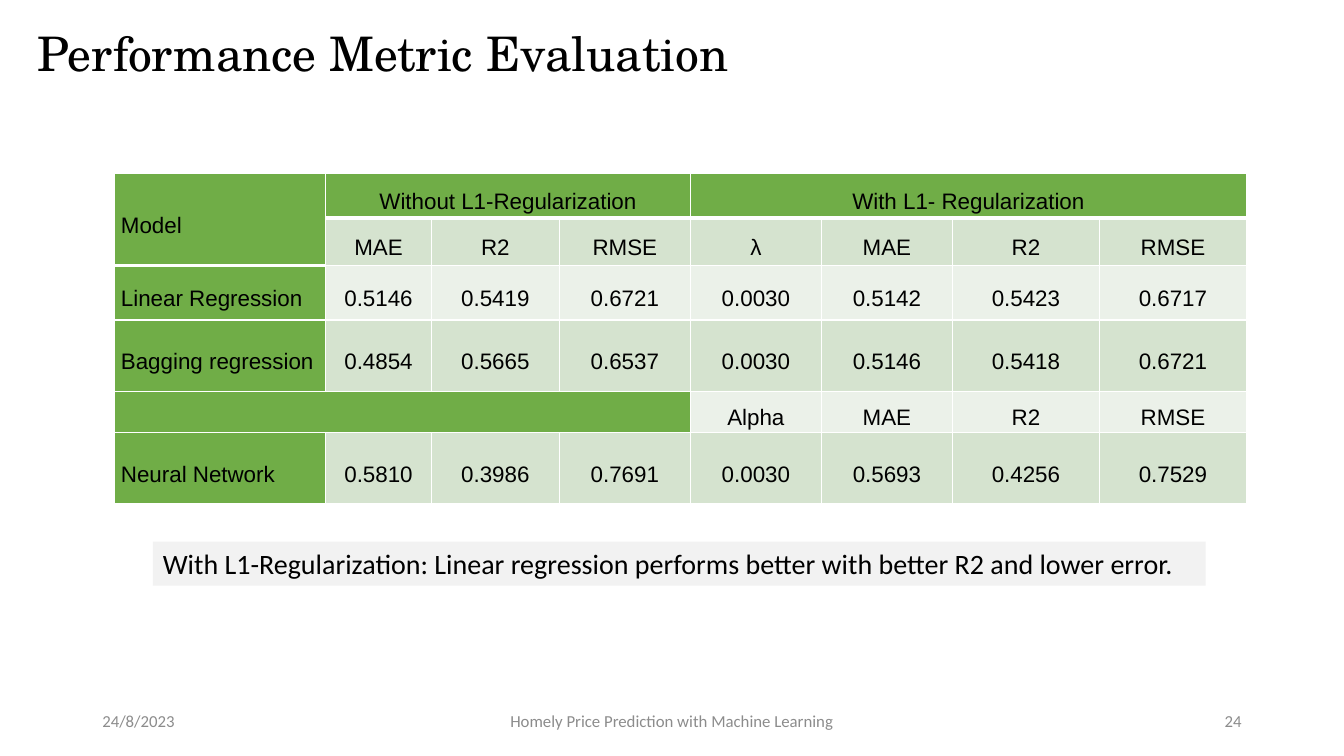
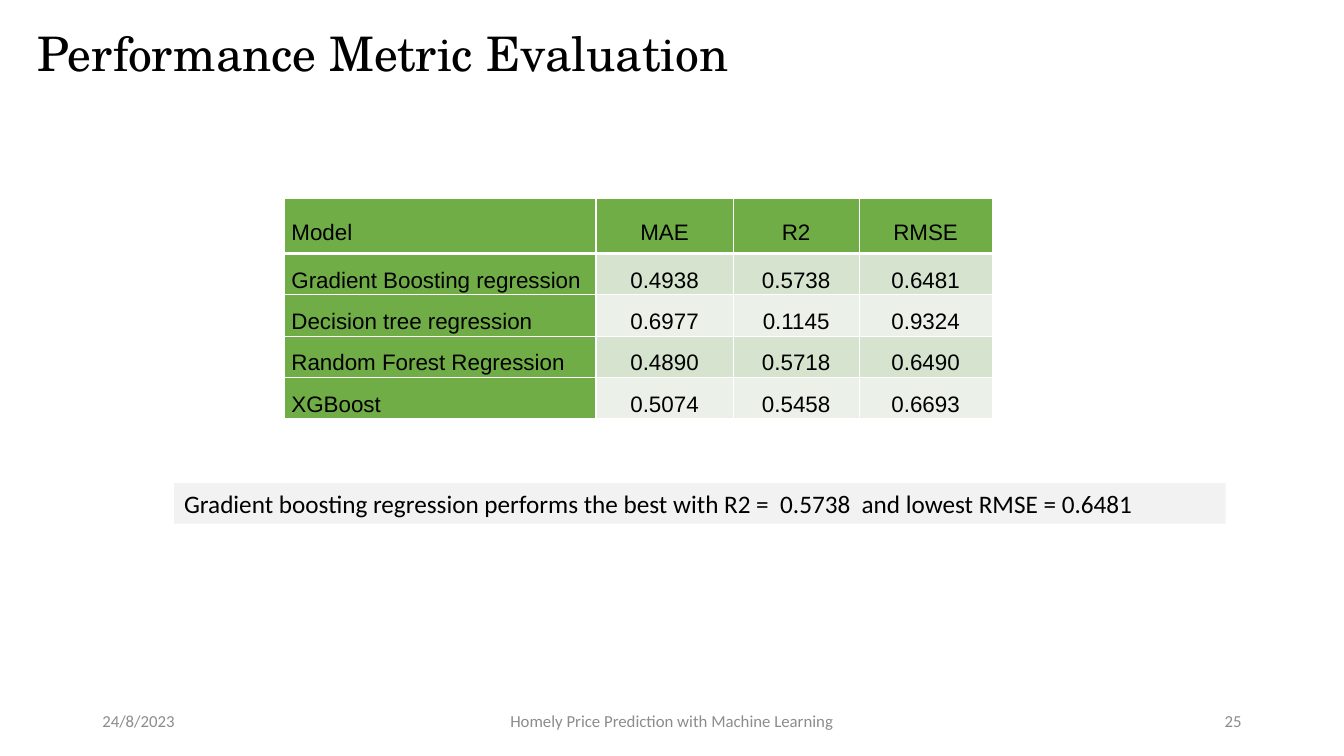
from dataclasses import dataclass

from pptx import Presentation
from pptx.dml.color import RGBColor as Color
from pptx.enum.shapes import MSO_SHAPE as Preset
from pptx.enum.text import MSO_ANCHOR as Anchor, MSO_AUTO_SIZE as AutoSize, PP_ALIGN as Align
from pptx.oxml import parse_xml
from pptx.oxml.ns import nsdecls
from pptx.util import Pt


@dataclass(frozen=True)
class Theme:
    ink: str = "000000"
    muted: str = "8C8C8C"
    header: str = "70AD47"
    bands: tuple = ("EBF1E9", "D5E3CF")
    note: str = "F2F2F2"
    border: str = "FFFFFF"
    title_font: str = "TeX Gyre Schola"
    table_font: str = "Arial"
    body_font: str = "Calibri"
    title_size: int = 34
    table_size: int = 16
    footer_size: int = 12


THEME = Theme()
TITLE = "Performance Metric Evaluation"
DATE = "24/8/2023"
FOOTER = "Homely Price Prediction with Machine Learning"
METRICS = ["MAE", "R2", "RMSE"]


class Deck:
    def __init__(self, theme):
        self.theme = theme
        self.presentation = Presentation()
        self.presentation.slide_width = Pt(960)
        self.presentation.slide_height = Pt(540)
        self.page = None

    def add_page(self, number):
        """Start a slide with the shared title and footer."""
        blank = self.presentation.slide_layouts[6]
        self.page = self.presentation.slides.add_slide(blank)
        theme = self.theme
        self.add_text(TITLE, (19.4, 12.2, 808.6, 55.4), theme.title_font,
                      theme.title_size, theme.ink, line_spacing=0.9)
        for text, left, width, align in (
            (DATE, 66, 216, Align.LEFT),
            (FOOTER, 318, 324, Align.CENTER),
            (str(number), 678, 216, Align.RIGHT),
        ):
            self.add_text(text, (left, 500.5, width, 28.8), theme.body_font,
                          theme.footer_size, theme.muted, align)

    def add_span(self, frame, text, font, size, color, align=Align.LEFT, line_spacing=None):
        para = frame.paragraphs[0]
        para.alignment = align
        if line_spacing:
            para.line_spacing = line_spacing
        span = para.add_run()
        span.text = text
        span.font.name = font
        span.font.size = Pt(size)
        span.font.color.rgb = Color.from_string(color)
        return para

    def add_text(self, text, place, font, size, color, align=Align.LEFT, line_spacing=None):
        box = self.page.shapes.add_textbox(*map(Pt, place))
        frame = box.text_frame
        frame.word_wrap = True
        frame.vertical_anchor = Anchor.MIDDLE
        self.add_span(frame, text, font, size, color, align, line_spacing)

    def add_note(self, text, place, size):
        box = self.page.shapes.add_shape(Preset.RECTANGLE, *map(Pt, place))
        box.shadow.inherit = False
        box.fill.solid()
        box.fill.fore_color.rgb = Color.from_string(self.theme.note)
        box.line.fill.background()
        frame = box.text_frame
        frame.word_wrap = True
        frame.auto_size = AutoSize.SHAPE_TO_FIT_TEXT
        frame.vertical_anchor = Anchor.TOP
        self.add_span(frame, text, self.theme.body_font, size, self.theme.ink)

    def add_table(self, rows, left, top, widths, heights, spans=(), corner_rows=1):
        """Spans are (row, column, last row, last column); corner_rows is the
        height of the header in the first column."""
        table = self.page.shapes.add_table(
            len(rows), len(widths), Pt(left), Pt(top), Pt(sum(widths)), Pt(sum(heights))
        ).table
        for column, width in zip(table.columns, widths):
            column.width = Pt(width)
        for line, height in zip(table.rows, heights):
            line.height = Pt(height)
        for r, row in enumerate(rows):
            for c, text in enumerate(row):
                header_rows = corner_rows if c == 0 else 1
                self.style_cell(table.cell(r, c), text, r, c, header_rows)
        for first_row, first_column, last_row, last_column in spans:
            table.cell(first_row, first_column).merge(table.cell(last_row, last_column))

    def style_cell(self, cell, text, row, column, header_rows):
        theme = self.theme
        top = 3 if row == header_rows else 1
        bottom = 3 if row < header_rows else 1
        self.set_borders(cell, L=1, R=1, T=top, B=bottom)
        is_header = column == 0 or row < header_rows
        cell.fill.solid()
        cell.fill.fore_color.rgb = Color.from_string(
            theme.header if is_header else theme.bands[row % 2])
        cell.vertical_anchor = Anchor.MIDDLE
        cell.margin_left = cell.margin_right = Pt(5)
        cell.margin_top = cell.margin_bottom = 0
        if text:
            align = Align.CENTER if column else Align.LEFT
            para = self.add_span(cell.text_frame, text, theme.table_font,
                                 theme.table_size, theme.ink, align, 1.5)
            para.space_after = Pt(8)

    def set_borders(self, cell, **widths):
        properties = cell._tc.get_or_add_tcPr()
        for side, width in widths.items():
            properties.append(parse_xml(
                f'<a:ln{side} {nsdecls("a")} w="{Pt(width)}"><a:solidFill>'
                f'<a:srgbClr val="{self.theme.border}"/></a:solidFill></a:ln{side}>'))


def add_regularization_page(deck):
    deck.add_page(24)
    rows = [
        ["Model", "Without L1-Regularization", "", "", "With L1- Regularization", "", "", ""],
        ["", *METRICS, "λ", *METRICS],
        ["Linear Regression", "0.5146", "0.5419", "0.6721", "0.0030", "0.5142", "0.5423", "0.6717"],
        ["Bagging regression", "0.4854", "0.5665", "0.6537", "0.0030", "0.5146", "0.5418", "0.6721"],
        ["", "", "", "", "Alpha", *METRICS],
        ["Neural Network", "0.5810", "0.3986", "0.7691", "0.0030", "0.5693", "0.4256", "0.7529"],
    ]
    deck.add_table(
        rows, 81.4, 124.2,
        widths=[151.2, 75.6, 91.4, 93.6, 93.6, 93.6, 105, 105],
        heights=[31.4, 34, 39, 51, 29.5, 51],
        spans=[(0, 0, 1, 0), (0, 1, 0, 3), (0, 4, 0, 7), (4, 0, 4, 3)],
        corner_rows=2,
    )
    deck.add_note("With L1-Regularization: Linear regression performs better "
                  "with better R2 and lower error.", (109.2, 386.8, 752, 31.5), 20)


def add_ensemble_page(deck):
    deck.add_page(25)
    rows = [
        ["Model", *METRICS],
        ["Gradient Boosting regression", "0.4938", "0.5738", "0.6481"],
        ["Decision tree regression", "0.6977", "0.1145", "0.9324"],
        ["Random Forest Regression", "0.4890", "0.5718", "0.6490"],
        ["XGBoost", "0.5074", "0.5458", "0.6693"],
    ]
    deck.add_table(rows, 203.2, 141.8, widths=[222.5, 98, 90, 95],
                   heights=[39.4] + [29.5] * 4)
    deck.add_note("Gradient boosting regression performs the best with "
                  "R2 =  0.5738  and lowest RMSE = 0.6481", (124.4, 345, 751, 29), 18)


def main():
    deck = Deck(THEME)
    add_regularization_page(deck)
    add_ensemble_page(deck)
    deck.presentation.save("out.pptx")


if __name__ == "__main__":
    main()
